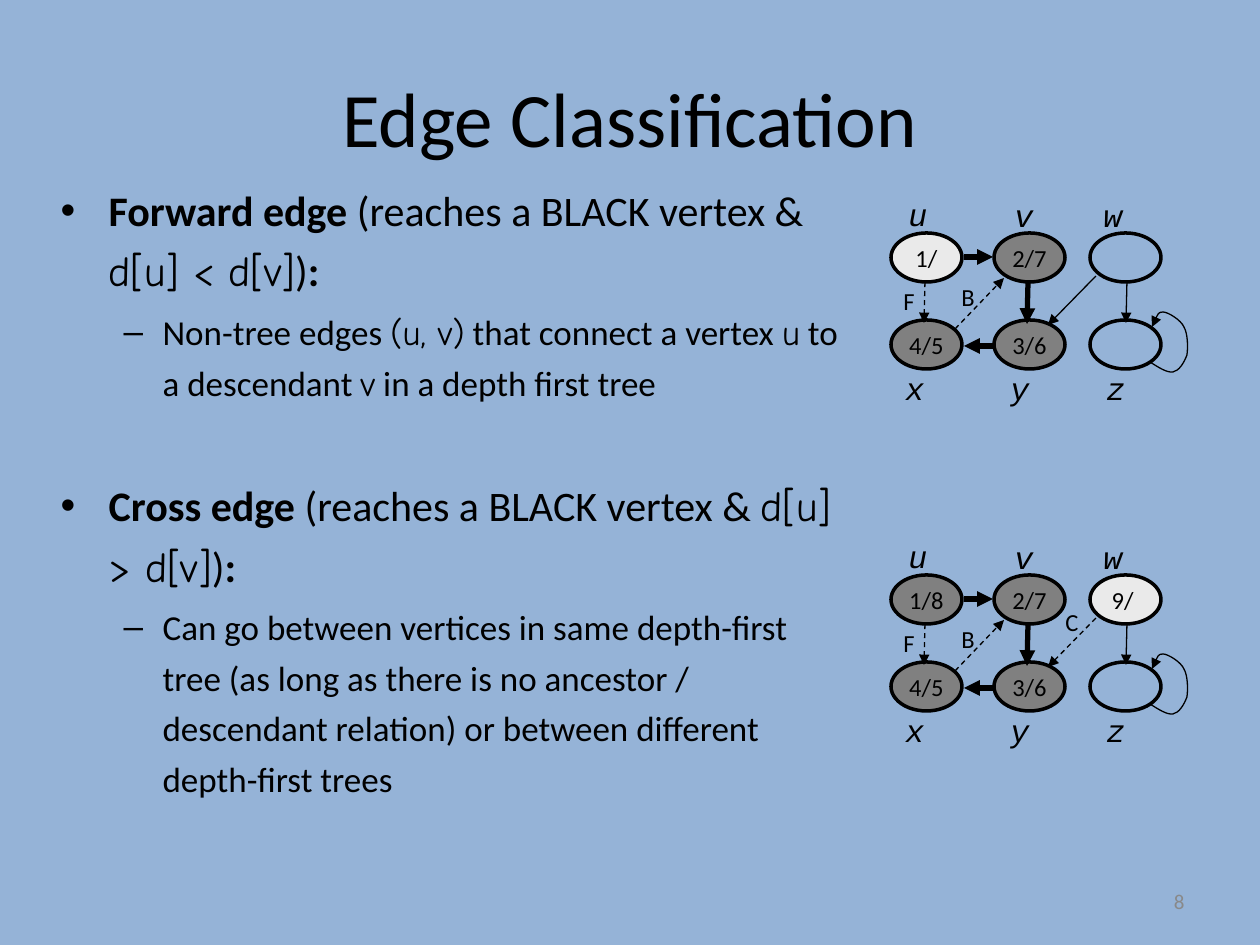
from dataclasses import dataclass
from typing import Any

from lxml.etree import SubElement
from pptx import Presentation
from pptx.dml.color import RGBColor
from pptx.enum.dml import MSO_LINE_DASH_STYLE as Dash
from pptx.enum.shapes import MSO_CONNECTOR as Connector, MSO_SHAPE as Shape
from pptx.enum.text import MSO_ANCHOR as Anchor, MSO_AUTO_SIZE as AutoSize, PP_ALIGN as Align
from pptx.oxml.ns import qn
from pptx.util import Pt

EMU_PER_PX = 914400 / 126
BLACK = RGBColor(0x00, 0x00, 0x00)
BLUE = RGBColor(0x95, 0xB3, 0xD7)
GRAY = RGBColor(0x80, 0x80, 0x80)
LIGHT = RGBColor(0xEA, 0xEA, 0xEA)
NUMBER_GRAY = RGBColor(0x89, 0x89, 0x89)

CALIBRI = {"name": "Calibri", "bold": False}
BOLD = {"name": "Calibri", "bold": True}
COMIC = {"name": "Comic Neue", "bold": False}
VERTEX_FONT = {"name": "Courier New", "size": Pt(18), "italic": True}
SMALL_FONT = {"name": "Calibri", "size": Pt(14)}


@dataclass(frozen=True)
class Item:
    runs: list[tuple[str, dict[str, Any]]]
    level: int = 0
    space_before: float = 4.8


@dataclass(frozen=True)
class Label:
    text: str
    left: int
    top: int
    width: int
    height: int
    font: dict[str, Any]


@dataclass(frozen=True)
class Edge:
    begin: tuple[int, int]
    end: tuple[int, int]
    width: float = 0.75
    dashed: bool = False


@dataclass(frozen=True)
class Graph:
    top: int
    vertices: list[tuple[str, RGBColor | None]]
    labels: list[Label]
    cross_dashed: bool


COLUMNS = (891, 994, 1090)
ROWS = (0, 87)
VERTEX_SIZE = (71, 49)
LEVELS = {0: (24, 48, -48), 1: (20, 102, -39)}

ITEMS = [
    Item([("Forward edge ", BOLD), ("(reaches a BLACK vertex & ", CALIBRI),
          ("d[u] < d[v]", COMIC), (")", CALIBRI), (":", BOLD)]),
    Item([("Non-tree edges ", CALIBRI), ("(u, v)", COMIC),
          (" that connect a vertex ", CALIBRI), ("u", COMIC),
          (" to a descendant ", CALIBRI), ("v", COMIC),
          (" in a depth first tree", CALIBRI)], 1, 4),
    Item([("Cross edge ", BOLD), ("(reaches a BLACK vertex & ", CALIBRI),
          ("d[u] > d[v]", COMIC), (")", CALIBRI), (":", BOLD)], 0, 38),
    Item([("Can go between vertices in same depth-first tree (as long as there is no "
           "ancestor / descendant relation) or between different depth-first trees",
           CALIBRI)], 1, 4),
]

LABELS = [
    Label("u", 896, -44, 40, 50, VERTEX_FONT),
    Label("v", 1002, -43, 39, 50, VERTEX_FONT),
    Label("w", 1091, -43, 47, 50, VERTEX_FONT),
    Label("x", 893, 130, 39, 50, VERTEX_FONT),
    Label("y", 998, 130, 38, 50, VERTEX_FONT),
    Label("z", 1094, 130, 39, 50, VERTEX_FONT),
    Label("B", 949, 43, 42, 42, SMALL_FONT),
    Label("F", 891, 47, 40, 42, SMALL_FONT),
]
CROSS_LABEL = Label("C", 1053, 26, 43, 42, SMALL_FONT)

EDGES = [
    Edge((925, 49), (924, 90), dashed=True),
    Edge((1028, 50), (1027, 91), width=3),
    Edge((1127, 49), (1126, 90)),
    Edge((964, 24), (993, 24), width=3),
    Edge((993, 113), (964, 113), width=3),
    Edge((955, 96), (1004, 45), dashed=True),
]
LOOP_START = (1150, 129)
LOOP_CURVE = [
    (1158, 134), (1167, 140), (1173, 139), (1179, 138), (1184, 130),
    (1187, 122), (1188, 115), (1188, 101), (1184, 94), (1181, 87),
    (1168, 79), (1163, 79), (1158, 79), (1155, 87), (1152, 94),
]

GRAPHS = [
    Graph(233, [("1/", LIGHT), ("2/7", GRAY), ("", None),
                ("4/5", GRAY), ("3/6", GRAY), ("", None)], LABELS, False),
    Graph(575, [("1/8", GRAY), ("2/7", GRAY), ("9/ ", LIGHT),
                ("4/5", GRAY), ("3/6", GRAY), ("", None)], [*LABELS, CROSS_LABEL], True),
]


def px(value: float) -> int:
    return round(value * EMU_PER_PX)


def add_run(paragraph, text: str, values: dict[str, Any], color: RGBColor = BLACK) -> None:
    run = paragraph.add_run()
    run.text = text
    for name, value in values.items():
        setattr(run.font, name, value)
    run.font.color.rgb = color


def place(shape, left: int, top: int, width: int, height: int) -> None:
    for name, value in dict(left=left, top=top, width=width, height=height).items():
        setattr(shape, name, px(value))


def format_line(shape, width: float, arrow: bool = True, dashed: bool = False) -> None:
    shape.line.color.rgb = BLACK
    shape.line.width = Pt(width)
    if dashed:
        shape.line.dash_style = Dash.DASH
    if arrow:
        SubElement(shape.line._get_or_add_ln(), qn("a:tailEnd"), type="triangle")


def add_label(slide, label: Label, top: int, color: RGBColor = BLACK,
              alignment: Align = Align.LEFT) -> None:
    box = slide.shapes.add_textbox(
        px(label.left), px(top + label.top), px(label.width), px(label.height))
    box.text_frame.word_wrap = False
    paragraph = box.text_frame.paragraphs[0]
    paragraph.alignment = alignment
    add_run(paragraph, label.text, label.font, color)


def add_vertex(slide, text: str, fill: RGBColor | None, left: int, top: int) -> None:
    vertex = slide.shapes.add_shape(Shape.OVAL, px(left), px(top), *map(px, VERTEX_SIZE))
    vertex.shadow.inherit = False
    format_line(vertex, 2, arrow=False)
    if fill is None:
        vertex.fill.background()
    else:
        vertex.fill.solid()
        vertex.fill.fore_color.rgb = fill
    if text:
        frame = vertex.text_frame
        frame.word_wrap = False
        frame.vertical_anchor = Anchor.MIDDLE
        frame.paragraphs[0].alignment = Align.CENTER
        add_run(frame.paragraphs[0], text, SMALL_FONT)


def add_edge(slide, edge: Edge, top: int) -> None:
    (x1, y1), (x2, y2) = edge.begin, edge.end
    connector = slide.shapes.add_connector(
        Connector.STRAIGHT, px(x1), px(top + y1), px(x2), px(top + y2))
    format_line(connector, edge.width, dashed=edge.dashed)
    SubElement(connector._element.spPr, qn("a:effectLst"))


def add_loop(slide, top: int) -> None:
    builder = slide.shapes.build_freeform(
        px(LOOP_START[0]), px(top + LOOP_START[1]))
    builder.add_line_segments([(px(x), px(top + y)) for x, y in LOOP_CURVE], close=False)
    loop = builder.convert_to_shape()
    loop.shadow.inherit = False
    loop.fill.background()
    format_line(loop, 0.75)
    segments = list(loop._element.iter(qn("a:lnTo")))
    outline = segments[0].getparent()
    for index in range(0, len(segments), 3):
        curve = SubElement(outline, qn("a:cubicBezTo"))
        for segment in segments[index:index + 3]:
            curve.append(segment[0])
            outline.remove(segment)


def add_graph(slide, graph: Graph) -> None:
    positions = [(left, graph.top + row) for row in ROWS for left in COLUMNS]
    for (text, fill), (left, top) in zip(graph.vertices, positions):
        add_vertex(slide, text, fill, left, top)
    cross_edge = Edge((1096, 43), (1048, 92), dashed=graph.cross_dashed)
    for edge in [*EDGES, cross_edge]:
        add_edge(slide, edge, graph.top)
    add_loop(slide, graph.top)
    for label in graph.labels:
        add_label(slide, label, graph.top)


def fill_body(body) -> None:
    place(body, 48, 168, 814, 738)
    frame = body.text_frame
    frame.auto_size = AutoSize.NONE
    for index, item in enumerate(ITEMS):
        paragraph = frame.add_paragraph() if index else frame.paragraphs[0]
        size, margin, indent = LEVELS[item.level]
        formats = dict(level=item.level, line_spacing=1.2, space_before=Pt(item.space_before))
        for name, value in formats.items():
            setattr(paragraph, name, value)
        properties = paragraph._p.get_or_add_pPr()
        properties.set("marL", str(px(margin)))
        properties.set("indent", str(px(indent)))
        for text, font in item.runs:
            add_run(paragraph, text, {**font, "size": Pt(size)})


def main() -> None:
    presentation = Presentation()
    presentation.slide_width, presentation.slide_height = px(1260), px(945)
    slide = presentation.slides.add_slide(presentation.slide_layouts[1])
    slide.background.fill.solid()
    slide.background.fill.fore_color.rgb = BLUE
    title, body = slide.placeholders
    place(title, 63, 38, 1134, 158)
    title.text_frame.vertical_anchor = Anchor.MIDDLE
    title.text_frame.paragraphs[0].alignment = Align.CENTER
    add_run(title.text_frame.paragraphs[0], "Edge Classification",
            {"name": "Calibri", "size": Pt(44)})
    fill_body(body)
    for graph in GRAPHS:
        add_graph(slide, graph)
    number = Label("8", 1147, 882, 50, 40, {"name": "Calibri", "size": Pt(12)})
    add_label(slide, number, 0, NUMBER_GRAY, Align.RIGHT)
    presentation.save("out.pptx")


if __name__ == "__main__":
    main()
